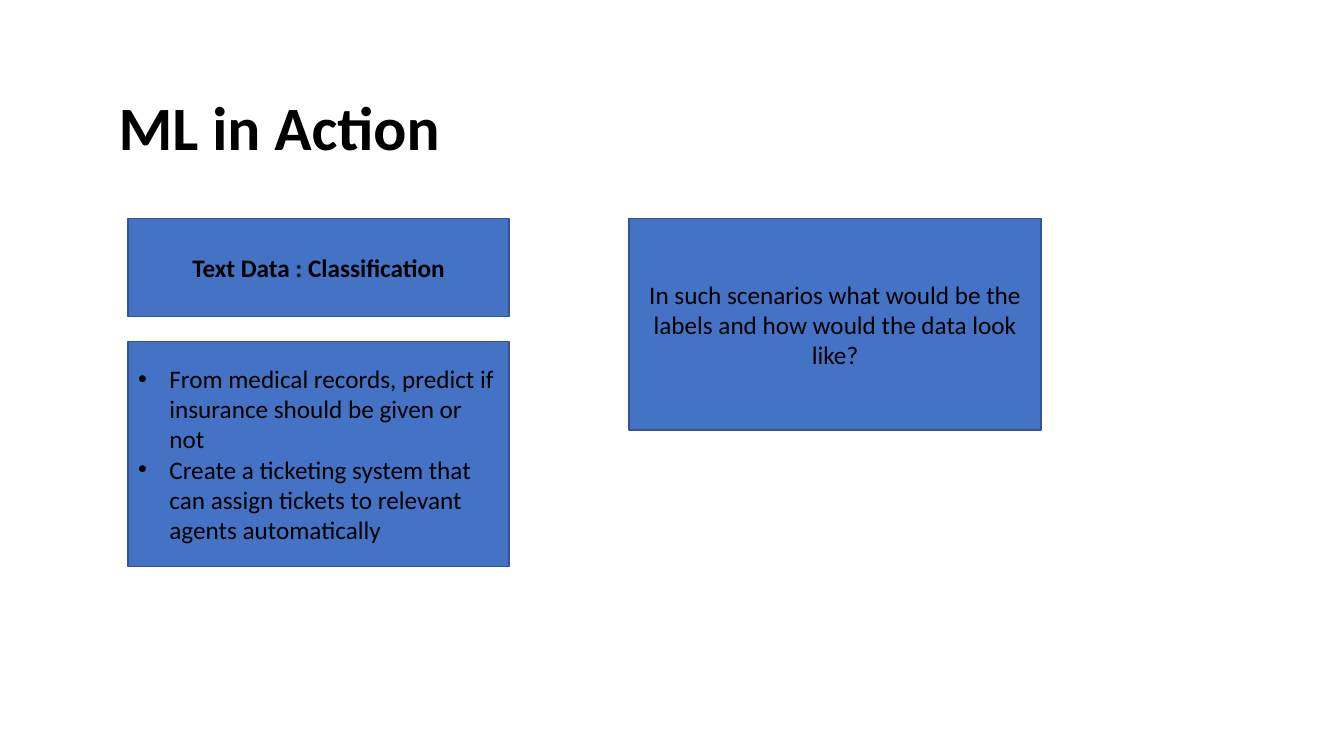
"""Build the "ML in Action" slide."""
from dataclasses import dataclass

from lxml import etree
from pptx import Presentation
from pptx import util as u
from pptx.dml.color import RGBColor
from pptx.enum import shapes, text
from pptx.oxml import ns


@dataclass(frozen=True)
class Theme:
    """Colours, font and type sizes of the slide."""
    fill: RGBColor = RGBColor(0x44, 0x72, 0xC4)
    line: RGBColor = RGBColor(0x32, 0x54, 0x91)
    ink: RGBColor = RGBColor(0, 0, 0)
    font: str = "Calibri"
    head: int = 44
    body: int = 18


THEME = Theme()


def add_run(para, words, size, bold=False):
    """Add one styled run to a paragraph."""
    run = para.add_run()
    run.text = words
    font = run.font
    font.name, font.size, font.bold = THEME.font, u.Pt(size), bold
    font.color.rgb = THEME.ink


def add_dot(para):
    """Give a paragraph a bullet and a hanging indent."""
    props = para._p.get_or_add_pPr()
    props.set("marL", str(u.Cm(0.79)))
    props.set("indent", str(-u.Cm(0.79)))
    face = etree.SubElement(props, ns.qn("a:buFont"))
    face.set("typeface", "Arial")
    dot = etree.SubElement(props, ns.qn("a:buChar"))
    dot.set("char", "•")


def add_title(slide, words, left, top, width, height):
    """Add the slide title."""
    box = slide.shapes.add_textbox(u.Cm(left), u.Cm(top), u.Cm(width), u.Cm(height))
    frame = box.text_frame
    frame.word_wrap = True
    frame.vertical_anchor = text.MSO_ANCHOR.MIDDLE
    para = frame.paragraphs[0]
    para.line_spacing = 0.9
    add_run(para, words, THEME.head, bold=True)


def add_card(slide, lines, left, top, width, height, bold=False, dots=False):
    """Add a filled box holding centred or bulleted lines."""
    card = slide.shapes.add_shape(
        shapes.MSO_SHAPE.RECTANGLE, u.Cm(left), u.Cm(top), u.Cm(width), u.Cm(height))
    card.shadow.inherit = False
    card.fill.solid()
    card.fill.fore_color.rgb = THEME.fill
    card.line.color.rgb = THEME.line
    card.line.width = u.Pt(1)
    frame = card.text_frame
    frame.word_wrap = True
    frame.vertical_anchor = text.MSO_ANCHOR.MIDDLE
    for num, words in enumerate(lines):
        para = frame.add_paragraph() if num else frame.paragraphs[0]
        para.alignment = text.PP_ALIGN.LEFT if dots else text.PP_ALIGN.CENTER
        if dots:
            add_dot(para)
        add_run(para, words, THEME.body, bold)


def main():
    """Build and save the slide."""
    deck = Presentation()
    deck.slide_width, deck.slide_height = u.Cm(33.87), u.Cm(19.05)
    slide = deck.slides.add_slide(deck.slide_layouts[6])
    left, top, width = 3.23, 5.51, 9.6
    add_card(slide, ["Text Data : Classification"], left, top, width, 2.46, bold=True)
    add_card(slide, [
        "From medical records, predict if insurance should be given or not",
        "Create a ticketing system that can assign tickets to relevant agents automatically",
    ], left, 8.61, width, 5.66, dots=True)
    add_card(slide, [
        "In such scenarios what would be the labels and how would the data look like?",
    ], 15.85, top, 10.39, 5.33)
    add_title(slide, "ML in Action", 2.74, 1.45, 29.21, 3.68)
    deck.save("out.pptx")


if __name__ == "__main__":
    main()
